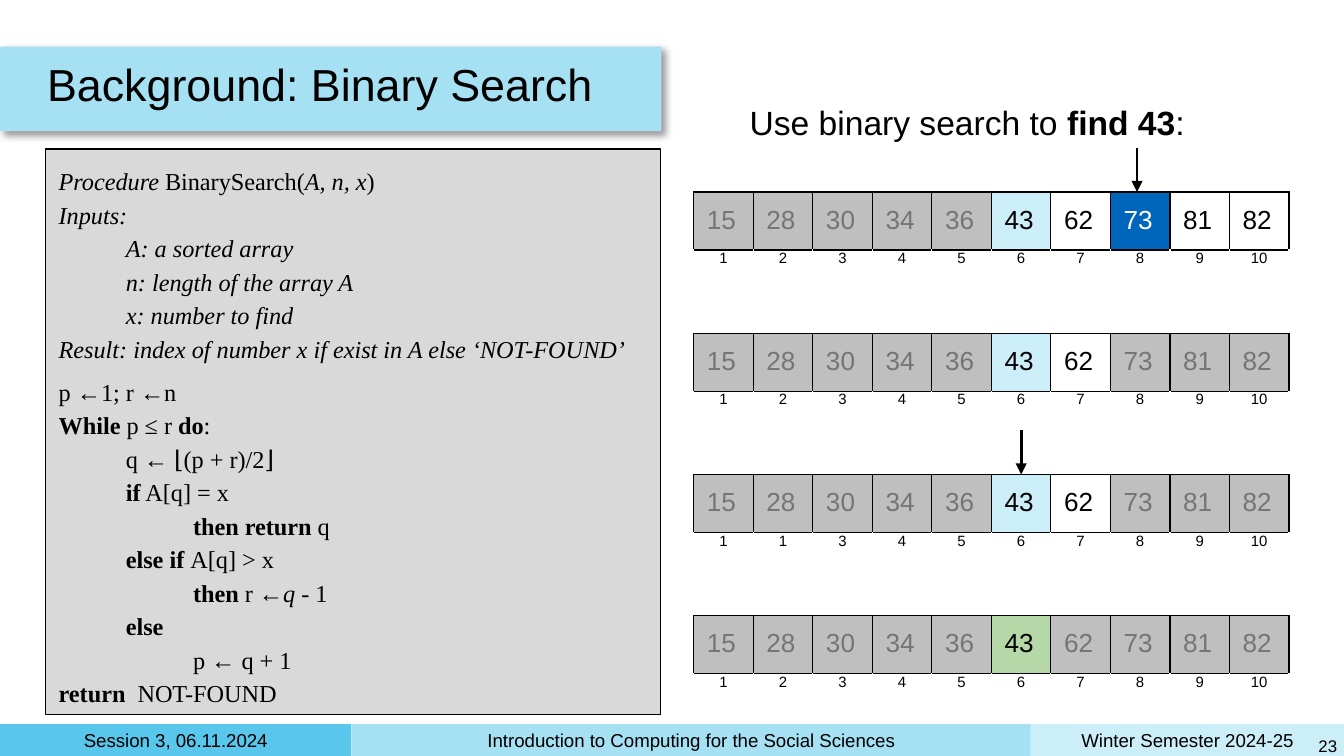
from lxml import etree
from pptx import Presentation
from pptx import util as u
from pptx.dml.color import RGBColor
from pptx.enum import shapes, text
from pptx.oxml import ns

Cm, Pt = u.Cm, u.Pt
BLACK = RGBColor(0x00, 0x00, 0x00)
WHITE = RGBColor(0xFF, 0xFF, 0xFF)
DIM = RGBColor(0x75, 0x75, 0x75)
GREY = RGBColor(0xBF, 0xBF, 0xBF)
PANEL = RGBColor(0xD9, 0xD9, 0xD9)
PALE = RGBColor(0xCC, 0xEE, 0xF9)
SKY = RGBColor(0xA5, 0xE0, 0xF3)
CYAN = RGBColor(0x59, 0xC7, 0xEB)
BLUE = RGBColor(0x00, 0x66, 0xBB)
GREEN = RGBColor(0xB6, 0xD7, 0xA8)

LEFT, CENTER, RIGHT = text.PP_ALIGN.LEFT, text.PP_ALIGN.CENTER, text.PP_ALIGN.RIGHT
TOP, MIDDLE = text.MSO_ANCHOR.TOP, text.MSO_ANCHOR.MIDDLE

# Each line: first-line indent in cm, then runs of (style, text).
CODE = [
    (0, ("i", "Procedure "), ("", "BinarySearch("), ("i", "A, n, x"), ("", ")")),
    (0, ("i", "Inputs:")),
    (0, ("i", "\tA: a sorted array")),
    (1.27, ("i", "n: length of the array A")),
    (1.27, ("i", "x: number to find")),
    (0, ("i", "Result: index of number x if exist in A else ‘NOT-FOUND’")),
    (0, ("", "p ←1; r ←n")),
    (0, ("b", "While "), ("", "p ≤ r "), ("b", "do"), ("", ":")),
    (1.27, ("", "q ← ⌊(p + r)/2⌋")),
    (1.27, ("b", "if"), ("", " A[q] = x")),
    (1.27, ("b", "\tthen return"), ("", " q")),
    (1.27, ("b", "else if "), ("", "A[q] > x")),
    (1.27, ("b", "\tthen "), ("", "r ←"), ("i", "q "), ("", "- 1")),
    (1.27, ("b", "else")),
    (1.27, ("", "\tp ← q + 1")),
    (0, ("b", "return  "), ("", "NOT-FOUND")),
]
RESULT = 5  # last line of the header, followed by a small gap

VALUES = [15, 28, 30, 34, 36, 43, 62, 73, 81, 82]
INDEX = list(range(1, 11))
OPEN, HIT, MID, FOUND = (None, BLACK), (PALE, BLACK), (BLUE, WHITE), (GREEN, BLACK)
STEPS = [
    ({43: HIT, 62: OPEN, 73: MID, 81: OPEN, 82: OPEN}, INDEX),
    ({43: HIT, 62: OPEN}, INDEX),
    ({43: HIT, 62: OPEN}, [1, 1] + INDEX[2:]),
    ({43: FOUND}, INDEX),
]


def assign(obj, vals):
    for key, val in vals.items():
        setattr(obj, key, val)


class Deck:
    font = "Arial"

    def __init__(self, prs):
        self.slide = prs.slides.add_slide(prs.slide_layouts[6])
        self.items = self.slide.shapes

    def para(self, par, runs, size, color=BLACK, font=None, **form):
        assign(par, form)
        for style, words in runs:
            run = par.add_run()
            run.text = words
            assign(run.font, {"name": font or self.font, "size": Pt(size),
                              "bold": "b" in style, "italic": "i" in style})
            run.font.color.rgb = color

    def frame(self, shape, pad, anchor):
        tf = shape.text_frame
        assign(tf, {"word_wrap": True, "vertical_anchor": anchor})
        assign(tf, {f"margin_{side}": Cm(pad) for side in ("left", "top", "right", "bottom")})
        return tf

    def label(self, box, runs, size, pad=0.13, anchor=MIDDLE, **form):
        shape = self.items.add_textbox(*map(Cm, box))
        self.para(self.frame(shape, pad, anchor).paragraphs[0], runs, size, **form)

    def rect(self, box, fill, line=None):
        shape = self.items.add_shape(shapes.MSO_SHAPE.RECTANGLE, *map(Cm, box))
        shape.shadow.inherit = False
        shape.fill.solid()
        shape.fill.fore_color.rgb = fill
        if line is None:
            shape.line.fill.background()
        else:
            shape.line.color.rgb = line
            shape.line.width = Pt(0.75)
        return shape

    def band(self, box, fill, words):
        tf = self.frame(self.rect(box, fill), 0.13, MIDDLE)
        self.para(tf.paragraphs[0], [("", words)], 10, alignment=CENTER)

    def shade(self, shape):
        """Give the shape a soft shadow to the lower right."""
        glow = etree.SubElement(shape.element.spPr.find(ns.qn("a:effectLst")),
                                ns.qn("a:outerShdw"), blurRad=str(Pt(4)), dist=str(Pt(3)),
                                dir="2700000", algn="bl", rotWithShape="0")
        tint = etree.SubElement(glow, ns.qn("a:srgbClr"), val=str(BLACK))
        etree.SubElement(tint, ns.qn("a:alpha"), val="40000")

    def code(self, box, lines):
        tf = self.frame(self.rect(box, PANEL, BLACK), 0.25, TOP)
        for n, (indent, *runs) in enumerate(lines):
            par = tf.paragraphs[0] if n == 0 else tf.add_paragraph()
            self.para(par, runs, 13, font="Times New Roman", alignment=LEFT, line_spacing=1.15)
            if n == RESULT + 1:
                par.space_before = Pt(5)
            props = par._p.get_or_add_pPr()
            props.set("marL", "0")
            props.set("indent", str(Cm(indent)))

    def arrow(self, x, top, end):
        line = self.items.add_connector(shapes.MSO_CONNECTOR.STRAIGHT,
                                        Cm(x), Cm(top), Cm(x), Cm(end))
        line.line.color.rgb = BLACK
        line.line.width = Pt(1.5)
        etree.SubElement(line.line._get_or_add_ln(), ns.qn("a:tailEnd"), type="triangle")
        etree.SubElement(line.element.spPr, ns.qn("a:effectLst"))

    def cell(self, cell, words, size, fill, color, top, sides, align):
        """Fill one cell; sides is the colour of all borders but the upper one."""
        assign(cell, {"margin_left": Cm(0.25), "margin_right": Cm(0.25),
                      "margin_top": Cm(top), "margin_bottom": Cm(0.25)})
        self.para(cell.text_frame.paragraphs[0], [("", str(words))], size, color, alignment=align)
        props = cell._tc.get_or_add_tcPr()
        for tag, tone in (("lnL", sides), ("lnR", sides), ("lnT", BLACK), ("lnB", sides)):
            edge = etree.SubElement(props, ns.qn("a:" + tag), w=str(Pt(0.75)))
            solid = etree.SubElement(edge, ns.qn("a:solidFill"))
            etree.SubElement(solid, ns.qn("a:srgbClr"), val=str(tone))
        if fill is None:
            cell.fill.background()
        else:
            cell.fill.solid()
            cell.fill.fore_color.rgb = fill

    def array(self, left, top, marks, index):
        """Draw the sorted array with its index row; values without a mark are dimmed."""
        grid = self.items.add_table(2, len(VALUES), Cm(left), Cm(top), Cm(11.25), Cm(1.81)).table
        assign(grid, {"first_row": False, "horz_banding": False})
        grid.rows[0].height, grid.rows[1].height = Cm(1.02), Cm(0.79)
        for col, (val, num) in enumerate(zip(VALUES, index)):
            fill, color = marks.get(val, (GREY, DIM))
            self.cell(grid.cell(0, col), val, 14, fill, color, 0.25, BLACK, LEFT)
            self.cell(grid.cell(1, col), num, 8, None, BLACK, 0, WHITE, CENTER)


def main():
    prs = Presentation()
    assign(prs, {"slide_width": Cm(25.4), "slide_height": Cm(14.29)})
    deck = Deck(prs)

    deck.band((19.48, 13.69, 5.92, 0.6), PALE, "Winter Semester 2024-25")
    deck.band((0, 13.69, 6.64, 0.6), CYAN, "Session 3, 06.11.2024")
    deck.band((6.64, 13.69, 12.84, 0.6), SKY, "Introduction to Computing for the Social Sciences")
    deck.label((24.5, 13.77, 0.9, 0.64), [("", "23")], 9, alignment=RIGHT)

    deck.shade(deck.rect((0, 0.88, 12.5, 1.6), SKY))
    deck.label((0.76, 0.88, 22.1, 1.6), [("", "Background: Binary Search")], 24, line_spacing=0.8)
    deck.code((0.86, 2.82, 11.63, 10.69), CODE)

    deck.label((13.11, 1.68, 10.34, 1.14),
               [("", "Use binary search to "), ("b", "find 43"), ("", ":")],
               18, pad=0.25, anchor=TOP, alignment=CENTER)
    tops = [3.63 + 2.67 * n for n in range(len(STEPS))]
    for top, (marks, index) in zip(tops, STEPS):
        deck.array(13.11, top, marks, index)
    for x, top in ((21.49, tops[0]), (19.3, tops[2])):
        deck.arrow(x, top - 0.84, top)

    prs.save("out.pptx")


if __name__ == "__main__":
    main()
